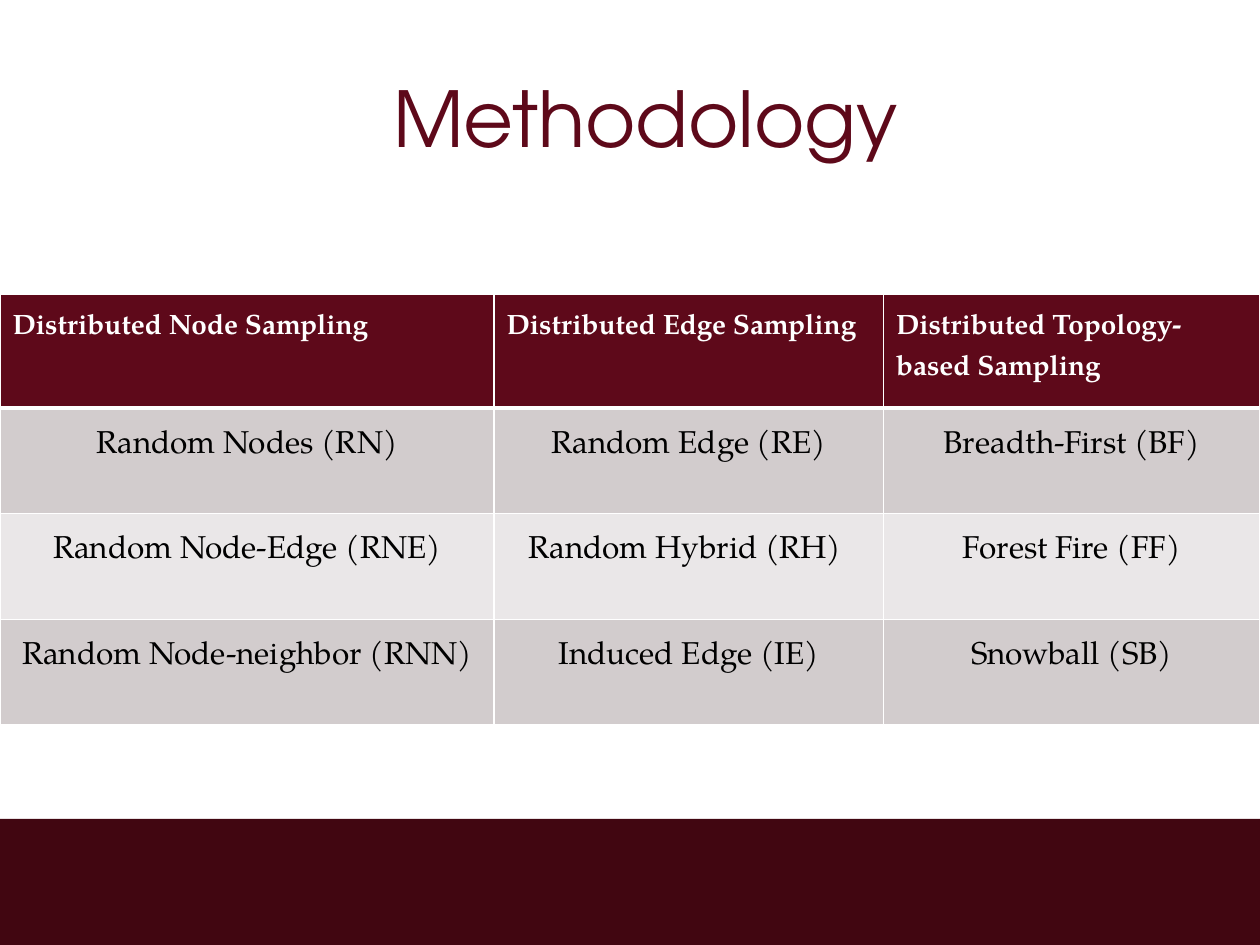
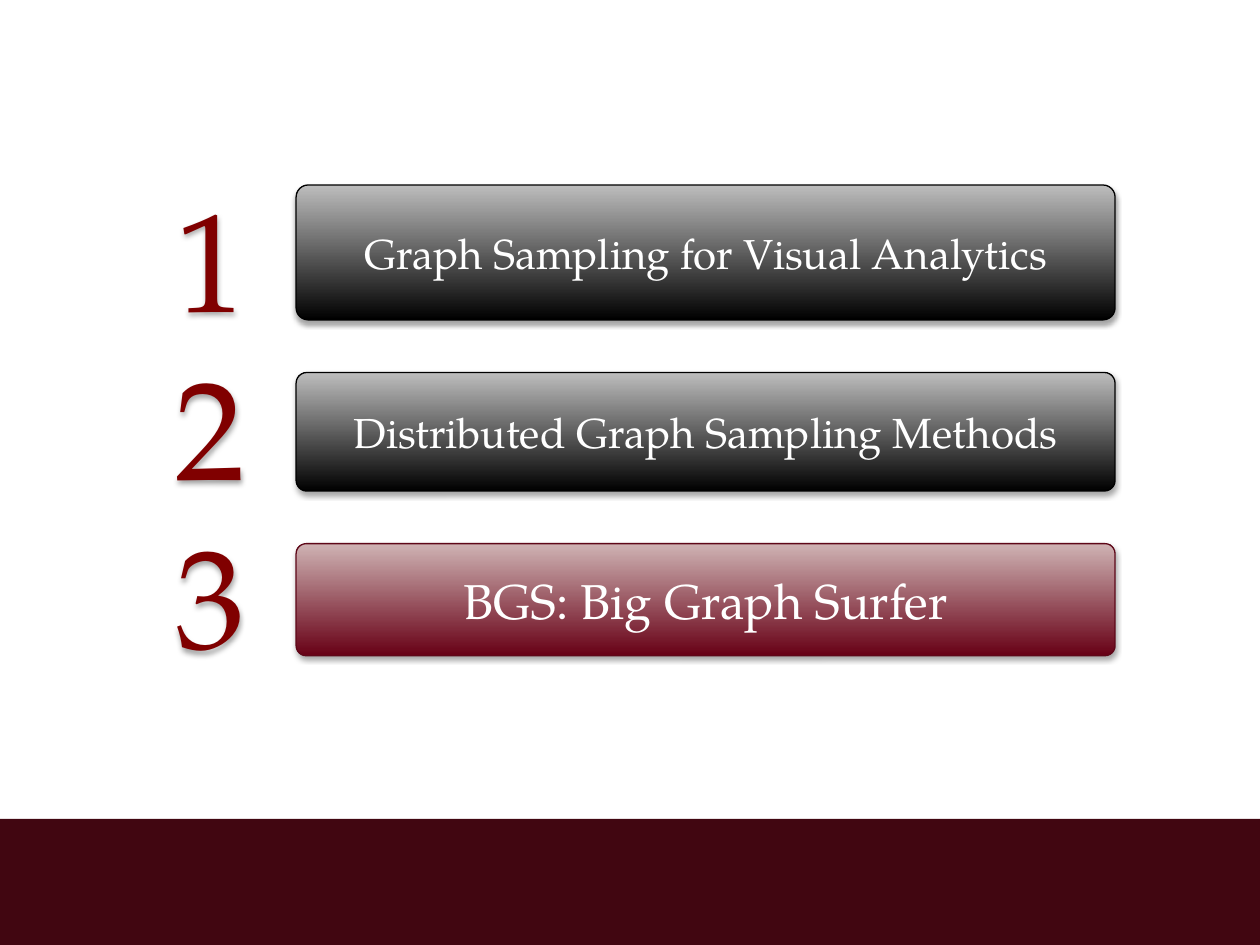
from lxml.etree import SubElement
from pptx import Presentation
from pptx.dml.color import RGBColor
from pptx.enum.shapes import MSO_SHAPE
from pptx.enum.text import MSO_ANCHOR, PP_ALIGN
from pptx.oxml import parse_xml
from pptx.oxml.ns import nsdecls, qn
from pptx.util import Cm, Pt

WHITE = RGBColor(0xFF, 0xFF, 0xFF)
BLACK = RGBColor(0, 0, 0)
WINE = RGBColor(0x5E, 0x09, 0x1A)
BAND = RGBColor(0x41, 0x06, 0x11)
RED = RGBColor(0x80, 0, 0)
GREY = RGBColor(0xBD, 0xBD, 0xBD)
DARK = RGBColor(0x67, 0, 0x15)
ROSE = RGBColor(0xCF, 0xB3, 0xB4)
EDGE = RGBColor(0x5E, 0x07, 0x18)
ODD = RGBColor(0xD2, 0xCC, 0xCD)
EVEN = RGBColor(0xEA, 0xE7, 0xE8)
HEAD_FONT = "TeX Gyre Adventor"
BODY_FONT = "TeX Gyre Pagella"


def write(para, text, size, color, font=BODY_FONT, bold=False):
    run = para.add_run()
    run.text = text
    run.font.name = font
    run.font.size = Pt(size)
    run.font.bold = bold
    run.font.color.rgb = color
    return run


def shade(shape):
    shape.shadow.inherit = False
    effects = shape._element.spPr.find(qn("a:effectLst"))
    outer = SubElement(effects, qn("a:outerShdw"), blurRad=str(Pt(3.1)),
                       dist=str(Pt(1.8)), dir="5400000", rotWithShape="0")
    tint = SubElement(outer, qn("a:srgbClr"), val=str(BLACK))
    SubElement(tint, qn("a:alpha"), val="35000")


deck = Presentation()
deck.slide_width, deck.slide_height = Cm(25.4), Cm(19.05)

# Both slides share the bottom band
slides = [deck.slides.add_slide(deck.slide_layouts[6]) for _ in range(2)]
for slide in slides:
    band = slide.shapes.add_shape(MSO_SHAPE.RECTANGLE, 0, Cm(16.51), Cm(25.4), Cm(2.54))
    band.shadow.inherit = False
    band.fill.solid()
    band.fill.fore_color.rgb = BAND
    band.line.fill.background()
method, outline = slides

# Methodology: title
title = method.shapes.add_textbox(Cm(1.9), Cm(0.76), Cm(22.23), Cm(3.18)).text_frame
title.word_wrap = True
title.vertical_anchor = MSO_ANCHOR.MIDDLE
title.paragraphs[0].alignment = PP_ALIGN.CENTER
write(title.paragraphs[0], "Methodology", 44, WINE, HEAD_FONT)

# Methodology: table of sampling methods
ROWS = [
    ["Distributed Node Sampling", "Distributed Edge Sampling",
     "Distributed Topology-based Sampling"],
    ["Random Nodes (RN)", "Random Edge (RE)", "Breadth-First (BF)"],
    ["Random Node-Edge (RNE)", "Random Hybrid (RH) ", "Forest Fire (FF)"],
    ["Random Node-neighbor (RNN)", "Induced Edge (IE)", "Snowball (SB)"],
]
WIDTHS = [9.96, 7.85, 7.59]
HEIGHT = 2.13
table = method.shapes.add_table(len(ROWS), len(WIDTHS), 0, Cm(5.94), Cm(25.4),
                                Cm(HEIGHT * len(ROWS))).table
table.horz_banding = False
for column, width in zip(table.columns, WIDTHS):
    column.width = Cm(width)

for r, texts in enumerate(ROWS):
    table.rows[r].height = Cm(HEIGHT)
    for c, text in enumerate(texts):
        cell = table.cell(r, c)
        cell.fill.solid()
        cell.fill.fore_color.rgb = WINE if r == 0 else ODD if r % 2 else EVEN
        para = cell.text_frame.paragraphs[0]
        para.line_spacing = 1.5
        if r == 0:
            write(para, text, 16, WHITE, bold=True)
        else:
            para.alignment = PP_ALIGN.CENTER
            write(para, text, 18, BLACK)
        # White borders, thick between header and body
        sides = {"L": 1, "R": 1, "T": 3 if r == 1 else 1, "B": 3 if r == 0 else 1}
        for i, (side, points) in enumerate(sides.items()):
            cell._tc.tcPr.insert(i, parse_xml(
                f'<a:ln{side} {nsdecls("a")} w="{Pt(points)}"><a:solidFill>'
                f'<a:srgbClr val="{WHITE}"/></a:solidFill></a:ln{side}>'))

# Outline: numbers
box = outline.shapes.add_textbox(Cm(3.28), Cm(3.35), Cm(2.08), Cm(10.24))
shade(box)
frame = box.text_frame
frame.word_wrap = True
for i, digit in enumerate("123"):
    para = frame.add_paragraph() if i else frame.paragraphs[0]
    run = write(para, digit, 80, RED)
    run.font._element.insert(0, parse_xml(
        f'<a:ln {nsdecls("a")} w="{Pt(1.45)}"><a:solidFill>'
        f'<a:srgbClr val="{WHITE}"/></a:solidFill></a:ln>'))

# Outline: topic bars, stacked with equal gaps
TOPICS = [
    ("Graph Sampling for Visual Analytics", 24, 2.72, BLACK, GREY, BLACK),
    ("Distributed Graph Sampling Methods", 24, 2.39, BLACK, GREY, BLACK),
    ("BGS: Big Graph Surfer", 28, 2.26, DARK, ROSE, EDGE),
]
GAP = 1.06
top = 3.73
for text, size, height, low, high, edge in TOPICS:
    bar = outline.shapes.add_shape(MSO_SHAPE.ROUNDED_RECTANGLE, Cm(5.97), Cm(top),
                                   Cm(16.51), Cm(height))
    bar.adjustments[0] = 0.09
    bar.fill.gradient()
    bar.fill.gradient_angle = 90
    for stop, place, color in zip(bar.fill.gradient_stops, (0, 1), (low, high)):
        stop.position = place
        stop.color.rgb = color
    bar.line.color.rgb = edge
    bar.line.width = Pt(0.75)
    shade(bar)
    bar.text_frame.word_wrap = True
    bar.text_frame.vertical_anchor = MSO_ANCHOR.MIDDLE
    para = bar.text_frame.paragraphs[0]
    para.alignment = PP_ALIGN.CENTER
    write(para, text, size, WHITE)
    top += height + GAP

deck.save("out.pptx")
